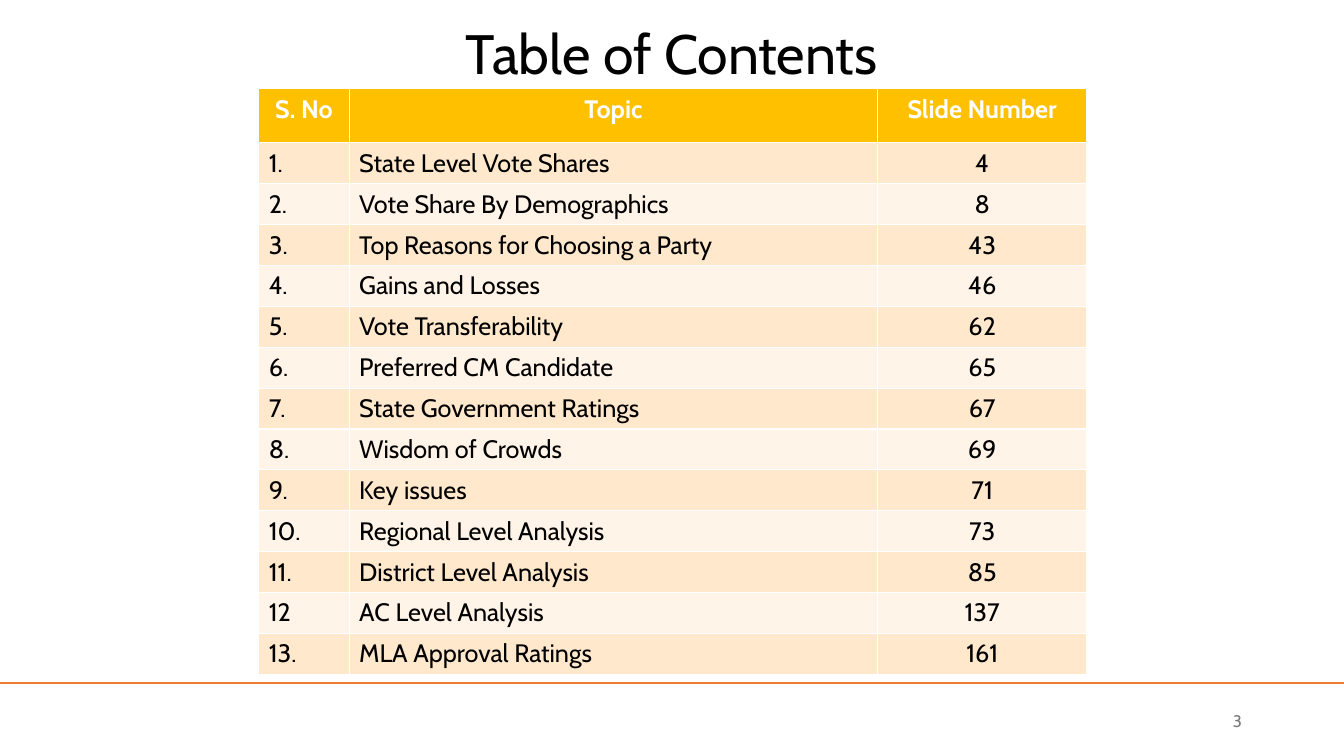
from lxml.etree import SubElement
from pptx import Presentation
from pptx.dml.color import RGBColor
from pptx.enum.shapes import MSO_CONNECTOR
from pptx.enum.text import MSO_ANCHOR, MSO_AUTO_SIZE, PP_ALIGN
from pptx.oxml.ns import qn
from pptx.util import Cm, Pt

TITLE = "Table of Contents"
PAGE_NUMBER = "3"
HEADER = ("S. No", "Topic", "Slide Number")
TOPICS = [
    ("1.", "State Level Vote Shares", "4"),
    ("2.", "Vote Share By Demographics", "8"),
    ("3.", "Top Reasons for Choosing a Party", "43"),
    ("4.", "Gains and Losses", "46"),
    ("5.", "Vote Transferability", "62"),
    ("6.", "Preferred CM Candidate", "65"),
    ("7.", "State Government Ratings", "67"),
    ("8.", "Wisdom of Crowds", "69"),
    ("9.", "Key issues", "71"),
    ("10.", "Regional Level Analysis", "73"),
    ("11.", "District Level Analysis", "85"),
    ("12", "AC Level Analysis", "137"),
    ("13.", "MLA Approval Ratings", "161"),
]
COLUMN_WIDTHS = (2.28, 13.32, 5.27)
COLUMN_ALIGNS = (PP_ALIGN.LEFT, PP_ALIGN.LEFT, PP_ALIGN.CENTER)
HEADER_HEIGHT, TOPIC_HEIGHT = 1.36, 1.03
HEADER_FILL = "FFC000"
BAND_FILLS = ("FFE8CC", "FFF4E7")


def color(value):
    return RGBColor.from_string(value)


def write(frame, text, size, ink, align, bold=False):
    frame.text = text
    paragraph = frame.paragraphs[0]
    paragraph.alignment = align
    paragraph.font.name = "Cabin"
    paragraph.font.size = Pt(size)
    paragraph.font.bold = bold
    paragraph.font.color.rgb = color(ink)
    return paragraph


def add_title(slide):
    title = slide.shapes.title
    title.left, title.top, title.width, title.height = Cm(10.54), Cm(0.53), Cm(12.78), Cm(1.78)
    frame = title.text_frame
    frame.auto_size = MSO_AUTO_SIZE.NONE
    frame.word_wrap = True
    frame.vertical_anchor = MSO_ANCHOR.MIDDLE
    write(frame, TITLE, 39.6, "000000", PP_ALIGN.CENTER).line_spacing = 0.9


def add_footer(slide):
    rule = slide.shapes.add_connector(MSO_CONNECTOR.STRAIGHT, 0, Cm(17.22), Cm(33.87), Cm(17.22))
    rule.line.color.rgb = color("ED7D31")
    rule.line.width = Pt(1.5)
    SubElement(rule._element.spPr, qn("a:effectLst"))
    page = slide.shapes.add_textbox(Cm(23.93), Cm(17.65), Cm(7.62), Cm(1.02)).text_frame
    page.word_wrap = True
    page.vertical_anchor = MSO_ANCHOR.MIDDLE
    write(page, PAGE_NUMBER, 12, "797979", PP_ALIGN.RIGHT)


def add_contents(slide):
    rows = [HEADER, *TOPICS]
    height = HEADER_HEIGHT + TOPIC_HEIGHT * len(TOPICS)
    contents = slide.shapes.add_table(
        len(rows), len(HEADER), Cm(6.52), Cm(2.24), Cm(sum(COLUMN_WIDTHS)), Cm(height)
    ).table
    for column, width in zip(contents.columns, COLUMN_WIDTHS):
        column.width = Cm(width)
    for number, texts in enumerate(rows):
        heading = number == 0
        contents.rows[number].height = Cm(HEADER_HEIGHT if heading else TOPIC_HEIGHT)
        fill = HEADER_FILL if heading else BAND_FILLS[(number - 1) % 2]
        ink = "FFFFFF" if heading else "000000"
        for cell, text, align in zip(contents.rows[number].cells, texts, COLUMN_ALIGNS):
            cell.fill.solid()
            cell.fill.fore_color.rgb = color(fill)
            write(cell.text_frame, text, 18, ink, PP_ALIGN.CENTER if heading else align, heading)


def main():
    deck = Presentation()
    deck.slide_width, deck.slide_height = Cm(33.87), Cm(19.05)
    slide = deck.slides.add_slide(deck.slide_layouts.get_by_name("Title Only"))
    add_title(slide)
    add_footer(slide)
    add_contents(slide)
    deck.save("out.pptx")


if __name__ == "__main__":
    main()
